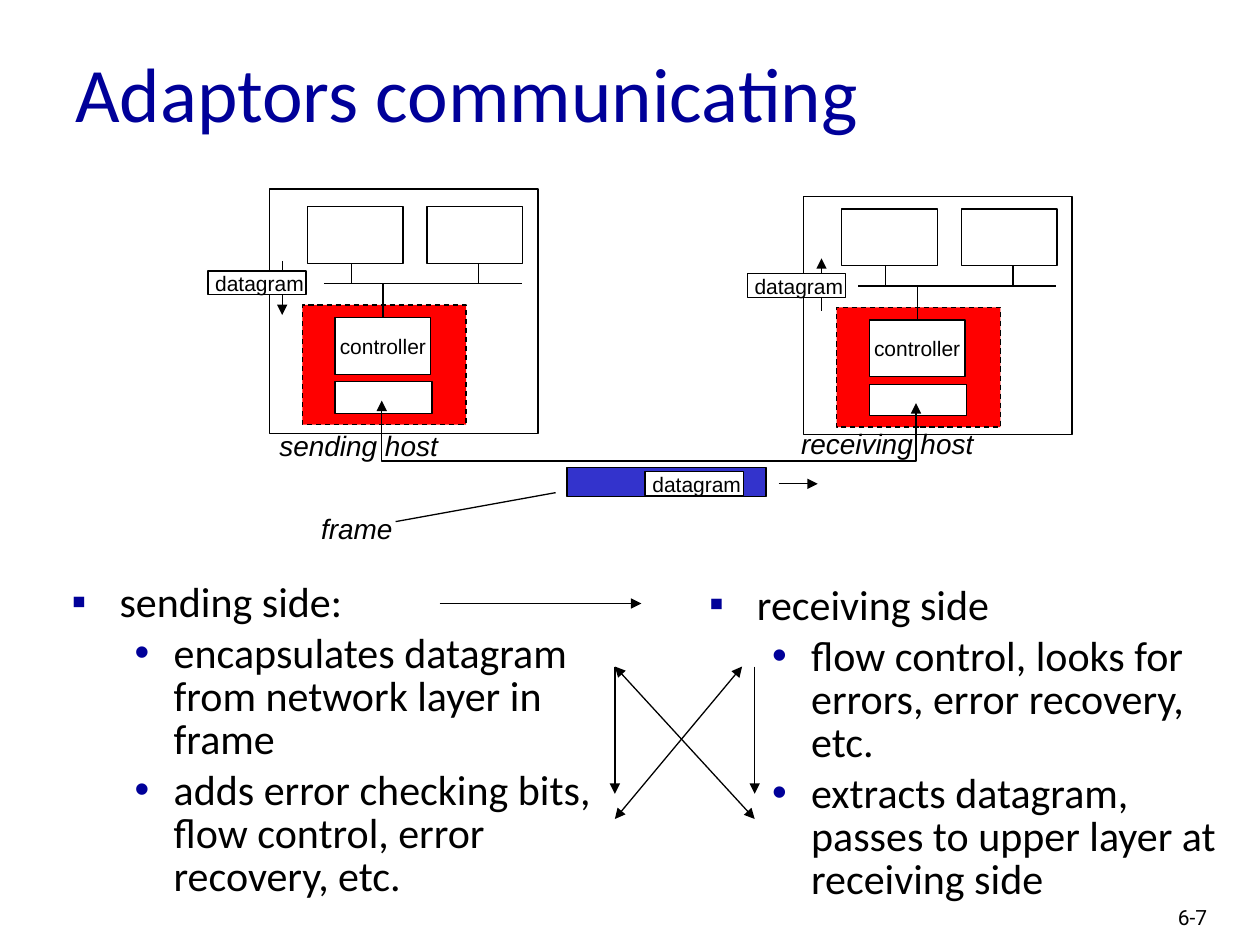
from typing import NamedTuple

from lxml.etree import SubElement
from pptx import Presentation
from pptx.dml.color import RGBColor
from pptx.enum.dml import MSO_LINE
from pptx.enum.shapes import MSO_CONNECTOR, MSO_SHAPE
from pptx.enum.text import MSO_ANCHOR, MSO_AUTO_SIZE, PP_ALIGN
from pptx.oxml.ns import qn
from pptx.util import Inches, Pt

NAVY = RGBColor(0x00, 0x00, 0x99)
BLUE = RGBColor(0x33, 0x33, 0xCC)
RED = RGBColor(0xFF, 0x00, 0x00)
BLACK = RGBColor(0x00, 0x00, 0x00)
WHITE = RGBColor(0xFF, 0xFF, 0xFF)

# The slide is a grid of 100 columns by 75 rows
WIDTH, HEIGHT = Inches(10), Inches(7.5)
COLUMN, ROW = WIDTH / 100, HEIGHT / 75


class Box(NamedTuple):
    left: float
    top: float
    width: float
    height: float

    def shifted(self, columns: float, rows: float) -> "Box":
        return Box(self.left + columns, self.top + rows, self.width, self.height)

    def lengths(self) -> tuple:
        return (int(self.left * COLUMN), int(self.top * ROW),
                int(self.width * COLUMN), int(self.height * ROW))


class Point(NamedTuple):
    column: float
    row: float

    def lengths(self) -> tuple:
        return int(self.column * COLUMN), int(self.row * ROW)


class Host(NamedTuple):
    columns: float
    rows: float
    frame: Box
    datagram: Point
    arrow: tuple
    head: bool
    label: str
    label_box: Box


class BulletList(NamedTuple):
    box: Box
    heading: str
    items: tuple


HOSTS = (
    Host(0, 0, Box(21.4, 15, 21.3, 19.4), Point(16.5, 21.5),
         (Point(22.4, 20.7), Point(22.4, 25)), False,
         "sending host", Box(21.2, 33.5, 14.6, 3.7)),
    Host(42.4, 0.2, Box(63.8, 15.6, 21.3, 18.9), Point(59.3, 21.7),
         (Point(65.2, 20.5), Point(65.2, 24.7)), True,
         "receiving host", Box(62.6, 33.4, 15.7, 3.7)),
)

LISTS = (
    BulletList(Box(4.7, 45.8, 44.5, 27.2), "sending side:", (
        "encapsulates datagram from network layer in frame",
        "adds error checking bits, flow control, error recovery, etc.")),
    BulletList(Box(55.3, 46, 44.7, 26.5), "receiving side", (
        "flow control, looks for errors, error recovery, etc.",
        "extracts datagram, passes to upper layer at receiving side")),
)

# from, to, arrowhead at from
SIDE_ARROWS = (
    (Point(58.9, 52.9), Point(48.8, 65), True),
    (Point(48.8, 52.9), Point(59.9, 65), True),
    (Point(48.8, 52.9), Point(48.8, 63), False),
    (Point(59.9, 52.9), Point(59.9, 63), False),
    (Point(34.9, 47.9), Point(50.9, 47.9), False),
)


def format_line(shape, head: bool = False, tail: bool = False) -> None:
    shape.line.color.rgb = BLACK
    shape.line.width = Pt(0.75)
    for name, wanted in (("a:headEnd", head), ("a:tailEnd", tail)):
        if wanted:
            SubElement(shape.line._get_or_add_ln(), qn(name), type="triangle")


def add_line(slide, start: Point, end: Point, head: bool = False, tail: bool = False):
    line = slide.shapes.add_connector(MSO_CONNECTOR.STRAIGHT, *start.lengths(), *end.lengths())
    format_line(line, head, tail)
    SubElement(line._element.spPr, qn("a:effectLst"))
    return line


def add_rectangle(slide, box: Box, fill: RGBColor = WHITE, dashed: bool = False):
    shape = slide.shapes.add_shape(MSO_SHAPE.RECTANGLE, *box.lengths())
    shape.shadow.inherit = False
    shape.fill.solid()
    shape.fill.fore_color.rgb = fill
    format_line(shape)
    if dashed:
        shape.line.dash_style = MSO_LINE.DASH
    return shape


def write(paragraph, text: str, size: float = 12, font: str = "Arial",
          color: RGBColor = BLACK, italic: bool = False) -> None:
    paragraph.text = text
    paragraph.font.size = Pt(size)
    paragraph.font.name = font
    paragraph.font.color.rgb = color
    paragraph.font.italic = italic


def add_text(slide, box: Box, text: str, wrap: bool = False,
             anchor: MSO_ANCHOR = MSO_ANCHOR.TOP, **text_format) -> None:
    frame = slide.shapes.add_textbox(*box.lengths()).text_frame
    frame.word_wrap = wrap
    frame.vertical_anchor = anchor
    if not wrap:
        frame.auto_size = MSO_AUTO_SIZE.SHAPE_TO_FIT_TEXT
    write(frame.paragraphs[0], text, **text_format)


def add_datagram(slide, corner: Point) -> None:
    box = Box(*corner, 7.8, 1.9)
    add_rectangle(slide, box)
    add_text(slide, Box(box.left - 0.4, box.top - 0.5, 9.4, 3), "datagram")


def add_host(slide, host: Host) -> None:
    def place(*box: float) -> Box:
        return Box(*box).shifted(host.columns, host.rows)

    def wire(x1: float, y1: float, x2: float, y2: float):
        return add_line(slide, Point(x1 + host.columns, y1 + host.rows),
                        Point(x2 + host.columns, y2 + host.rows))

    add_rectangle(slide, host.frame)
    add_line(slide, *host.arrow, head=host.head, tail=not host.head)
    # Adaptor card with its controller and transmission unit
    add_rectangle(slide, place(24, 24.2, 13, 9.5), RED, dashed=True)
    add_rectangle(slide, place(26.6, 30.3, 7.7, 2.5))
    controller = add_rectangle(slide, place(26.6, 25.2, 7.6, 4.5))
    controller.text_frame.word_wrap = False
    controller.text_frame.vertical_anchor = MSO_ANCHOR.MIDDLE
    write(controller.text_frame.paragraphs[0], "controller")
    controller.text_frame.paragraphs[0].alignment = PP_ALIGN.CENTER
    # Bus, its link to the controller, and the two units above it
    wire(25.7, 22.5, 41.4, 22.5)
    wire(30.4, 25.2, 30.4, 22.5).begin_connect(controller, 0)
    for unit_left, wire_column in ((24.4, 27.9), (33.9, 38)):
        add_rectangle(slide, place(unit_left, 16.4, 7.6, 4.5))
        wire(wire_column, 22.5, wire_column, 20.9)
    add_text(slide, host.label_box, host.label, size=16, italic=True)
    add_datagram(slide, host.datagram)


def add_bullets(slide, bullets: BulletList) -> None:
    frame = slide.shapes.add_textbox(*bullets.box.lengths()).text_frame
    frame.word_wrap = True
    for index, text in enumerate((bullets.heading, *bullets.items)):
        paragraph = frame.add_paragraph() if index else frame.paragraphs[0]
        paragraph.level = 1 if index else 0
        paragraph.line_spacing = 0.85
        paragraph.space_before = Pt(4.8 if index else 0)
        margin, indent, mark = (0.81, -0.31, "•") if index else (0.38, -0.38, "▪")
        properties = paragraph._p.get_or_add_pPr()
        properties.set("marL", str(Inches(margin)))
        properties.set("indent", str(Inches(indent)))
        SubElement(SubElement(properties, qn("a:buClr")), qn("a:srgbClr"), val=str(NAVY))
        SubElement(properties, qn("a:buFont"), typeface="Arial")
        SubElement(properties, qn("a:buChar"), char=mark)
        write(paragraph, text, size=24, font="Calibri")


def add_link(slide) -> None:
    # Two-way path between the adaptors
    points = [Point(*point).lengths()
              for point in ((30.3, 31.8), (30.3, 36.6), (72.7, 36.6), (72.7, 32))]
    builder = slide.shapes.build_freeform(*points[0])
    builder.add_line_segments(points[1:], close=False)
    path = builder.convert_to_shape()
    path.shadow.inherit = False
    path.fill.background()
    format_line(path, head=True, tail=True)


def main() -> None:
    presentation = Presentation()
    presentation.slide_width, presentation.slide_height = WIDTH, HEIGHT
    slide = presentation.slides.add_slide(presentation.slide_layouts[6])

    add_text(slide, Box(5, 1, 85, 12.5), "Adaptors communicating", wrap=True,
             anchor=MSO_ANCHOR.MIDDLE, size=44, font="Calibri", color=NAVY)
    for bullets in LISTS:
        add_bullets(slide, bullets)
    for host in HOSTS:
        add_host(slide, host)
    add_link(slide)

    # Frame in transit
    add_rectangle(slide, Box(45, 37.1, 15.8, 2.3), BLUE)
    add_datagram(slide, Point(51.2, 37.4))
    add_line(slide, Point(61.8, 38.4), Point(64.9, 38.4), tail=True)
    add_text(slide, Box(24.5, 40.1, 7.7, 3.7), "frame", size=16, italic=True)
    add_line(slide, Point(31.4, 41.4), Point(44.1, 39.1))

    # Arrows between the two lists, and the page number
    for start, end, head in SIDE_ARROWS:
        add_line(slide, start, end, head=head, tail=True)
    add_text(slide, Box(92.5, 71.3, 6, 3), "6-7", wrap=True, font="Roboto")
    presentation.save("out.pptx")


if __name__ == "__main__":
    main()
